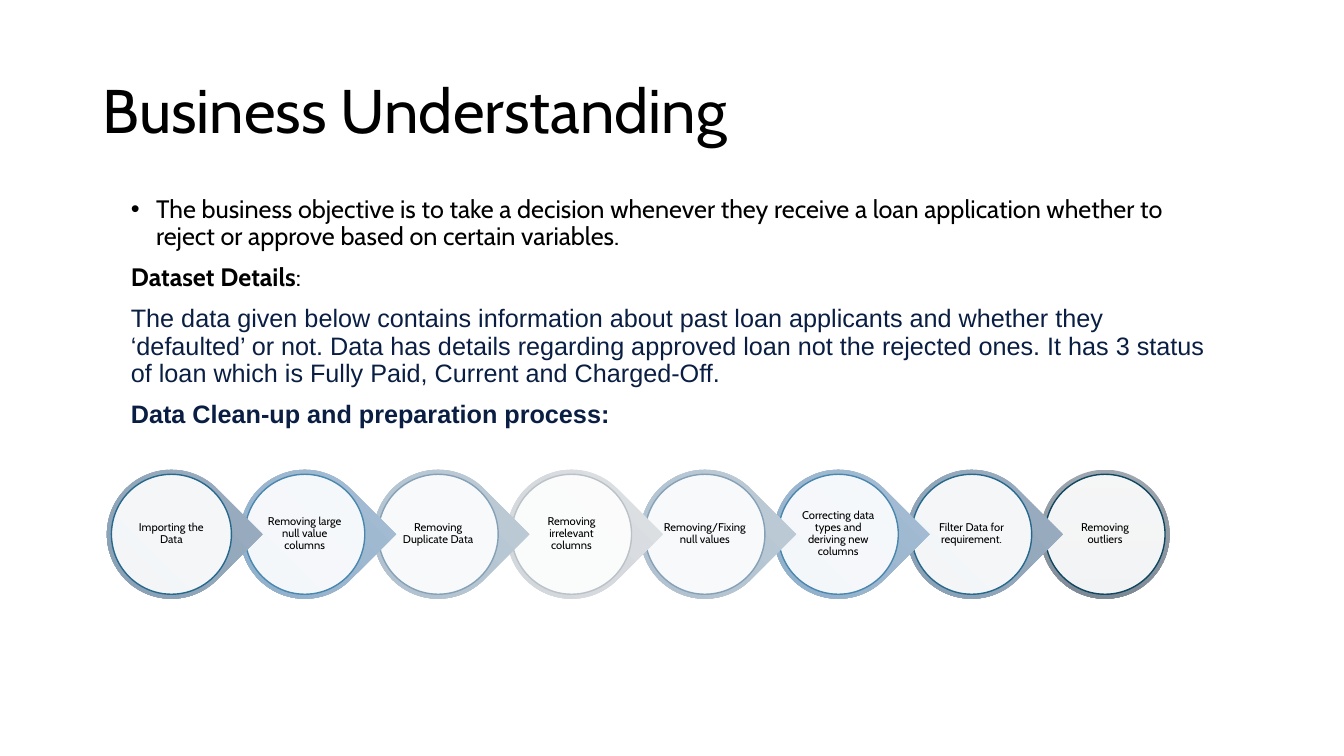
"""Build the Business Understanding slide with its data clean-up chain."""
import copy

import pptx
import pptx.dml.color
import pptx.enum.shapes
import pptx.enum.text
import pptx.oxml
import pptx.oxml.ns
import pptx.util

Inches = pptx.util.Inches
Pt = pptx.util.Pt
Kinds = pptx.enum.shapes.MSO_SHAPE
Anchor = pptx.enum.text.MSO_ANCHOR
Align = pptx.enum.text.PP_ALIGN

COLORS = {"black": "000000", "white": "FFFFFF", "navy": "091E42"}
PALETTES = {
    "dark": {"ring": ("9EA7AF", "919AA3", "7C8996"), "outline": "104760"},
    "deep": {"ring": ("9FB2C5", "93A7BA", "7E99B2"), "outline": "27698D"},
    "blue": {"ring": ("A8C0D5", "9BB6CE", "88ABCA"), "outline": "4987AF"},
    "soft": {"ring": ("C2CFDA", "B6C5D2", "ABBECD"), "outline": "85A1B7"},
    "pale": {"ring": ("E0E3E6", "D6DADE", "D1D6DA"), "outline": "BAC1C7"},
}

TITLE = "Business Understanding"
CABIN = {"name": "Cabin", "size": Pt(18), "bold": False}
CABIN_BOLD = {**CABIN, "bold": True}
ARIAL = {**CABIN, "name": "Arial"}
ARIAL_BOLD = {**ARIAL, "bold": True}
BODY = [
    [("The business objective is to take a decision whenever they receive a loan "
      "application whether to reject or approve based on certain variables.", CABIN, "black")],
    [("Dataset Details", CABIN_BOLD, "black"), (":", CABIN, "black")],
    [("The data given below contains information about past loan applicants and whether "
      "they ‘defaulted’ or not. Data has details regarding approved loan not the rejected "
      "ones. It has 3 status of loan which is Fully Paid, Current and Charged-Off.",
      ARIAL, "navy")],
    [("Data Clean-up and preparation process:", ARIAL_BOLD, "navy")],
]
STEPS = [
    ("Importing the Data", "deep"),
    ("Removing large null value columns", "blue"),
    ("Removing Duplicate Data", "soft"),
    ("Removing irrelevant columns", "pale"),
    ("Removing/Fixing null values", "soft"),
    ("Correcting data types and deriving new columns", "blue"),
    ("Filter Data for requirement.", "deep"),
    ("Removing outliers", "dark"),
]

CHAIN_LEFT, CHAIN_RIGHT, CHAIN_MIDDLE = 1.06, 11.6, 5.3
RING, DISC, LABEL = 1.28, 1.19, 0.85
PITCH = (CHAIN_RIGHT - RING - CHAIN_LEFT) / (len(STEPS) - 1)


def rgb(value):
    return pptx.dml.color.RGBColor.from_string(value)


def set_all(target, values):
    for name, value in values.items():
        setattr(target, name, value)


def centred(center, size):
    return [Inches(v) for v in (center - size / 2, CHAIN_MIDDLE - size / 2, size, size)]


def add_text(slide, box, paragraphs, frame_format, paragraph_format):
    frame = slide.shapes.add_textbox(*box).text_frame
    set_all(frame, {"word_wrap": True, **frame_format})
    for index, runs in enumerate(paragraphs):
        paragraph = frame.add_paragraph() if index else frame.paragraphs[0]
        set_all(paragraph, {"line_spacing": 0.9, **paragraph_format})
        for text, font, color in runs:
            run = paragraph.add_run()
            run.text = text
            set_all(run.font, font)
            run.font.color.rgb = rgb(COLORS[color])
    return frame


def add_bullet(paragraph):
    properties = paragraph._p.get_or_add_pPr()
    properties.set("marL", str(Inches(0.25)))
    properties.set("indent", str(Inches(-0.25)))
    for tag, name, value in (("a:buFont", "typeface", "Arial"), ("a:buChar", "char", "•")):
        element = pptx.oxml.ns.qn(tag)
        properties.append(properties.makeelement(element, {name: value}))


def add_ring(slide, center, colors, is_last):
    kind = Kinds.OVAL if is_last else Kinds.TEAR
    ring = slide.shapes.add_shape(kind, *centred(center, RING))
    ring.shadow.inherit = False
    ring.line.fill.background()
    if not is_last:
        ring.rotation = 45
        ring.adjustments[0] = 1
    ring.fill.gradient()
    ring.fill.gradient_angle = 270
    stops = ring._element.spPr.find(".//" + pptx.oxml.ns.qn("a:gsLst"))
    stops.insert(1, copy.deepcopy(stops[0]))
    for stop, position, color in zip(ring.fill.gradient_stops, (0, 0.5, 1), colors):
        stop.position = position
        stop.color.rgb = rgb(color)


def add_disc(slide, center, outline):
    disc = slide.shapes.add_shape(Kinds.OVAL, *centred(center, DISC))
    disc.shadow.inherit = False
    disc.fill.solid()
    disc.fill.fore_color.rgb = rgb(COLORS["white"])
    color = disc._element.spPr.find(".//" + pptx.oxml.ns.qn("a:srgbClr"))
    color.append(color.makeelement(pptx.oxml.ns.qn("a:alpha"), {"val": "90000"}))
    disc.line.color.rgb = rgb(outline)
    disc.line.width = Pt(1)


def main():
    presentation = pptx.Presentation()
    set_all(presentation, {"slide_width": Inches(13.33), "slide_height": Inches(7.5)})
    slide = presentation.slides.add_slide(presentation.slide_layouts[6])

    add_text(slide, [Inches(v) for v in (0.92, 0.4, 11.5, 1.45)],
             [[(TITLE, {**CABIN, "size": Pt(44)}, "black")]],
             {"vertical_anchor": Anchor.MIDDLE}, {})
    body = add_text(slide, [Inches(v) for v in (1.2, 1.9, 11, 4.4)], BODY,
                    {"vertical_anchor": Anchor.TOP}, {"space_before": Pt(10)})
    add_bullet(body.paragraphs[0])

    margins = {f"margin_{side}": Inches(0.01) for side in ("left", "top", "right", "bottom")}
    for index, (text, palette) in reversed(list(enumerate(STEPS))):
        center = CHAIN_LEFT + RING / 2 + index * PITCH
        add_ring(slide, center, PALETTES[palette]["ring"], index == len(STEPS) - 1)
        add_disc(slide, center, PALETTES[palette]["outline"])
        add_text(slide, centred(center, LABEL), [[(text, {**CABIN, "size": Pt(8)}, "black")]],
                 {"vertical_anchor": Anchor.MIDDLE, **margins}, {"alignment": Align.CENTER})

    presentation.save("out.pptx")


if __name__ == "__main__":
    main()
